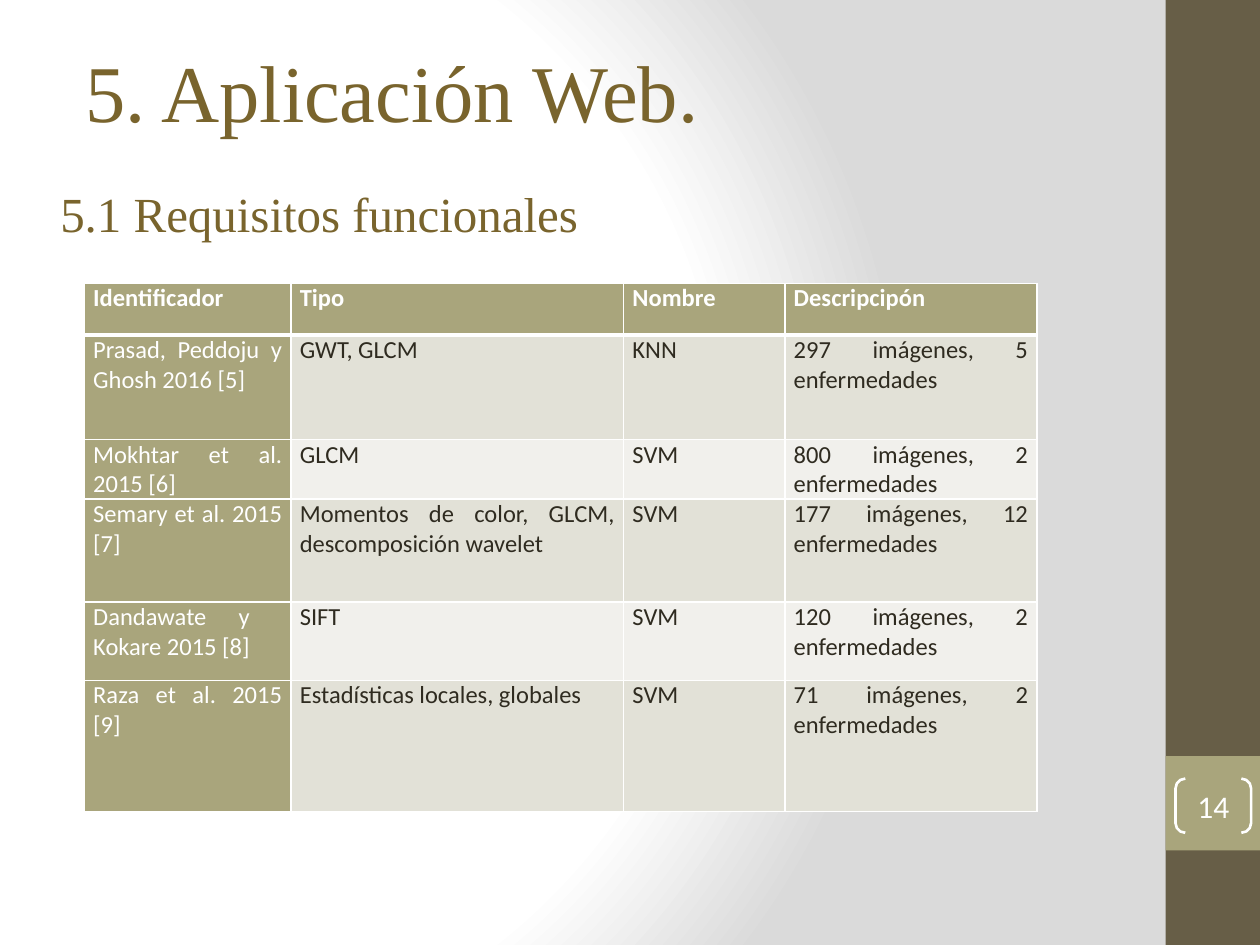
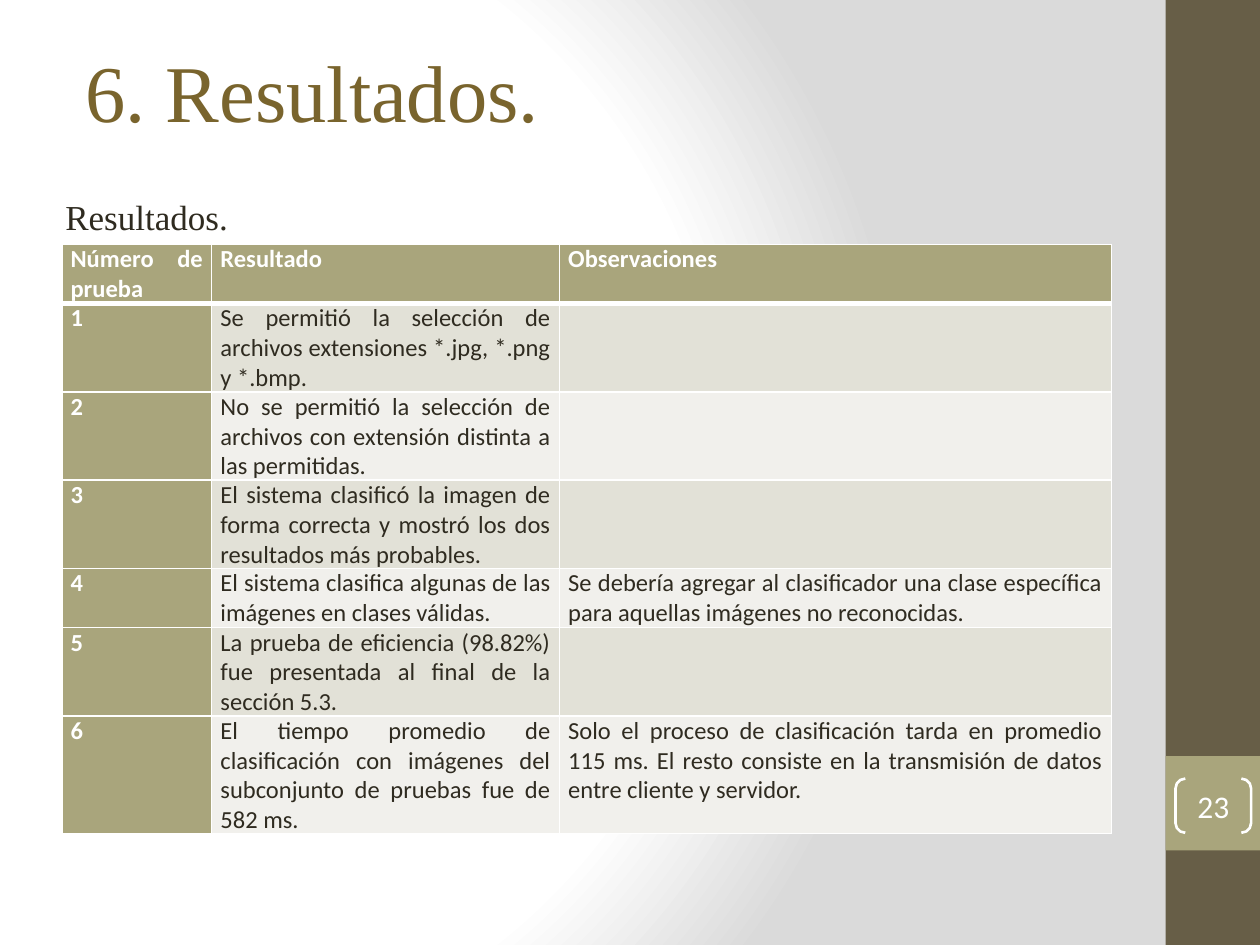
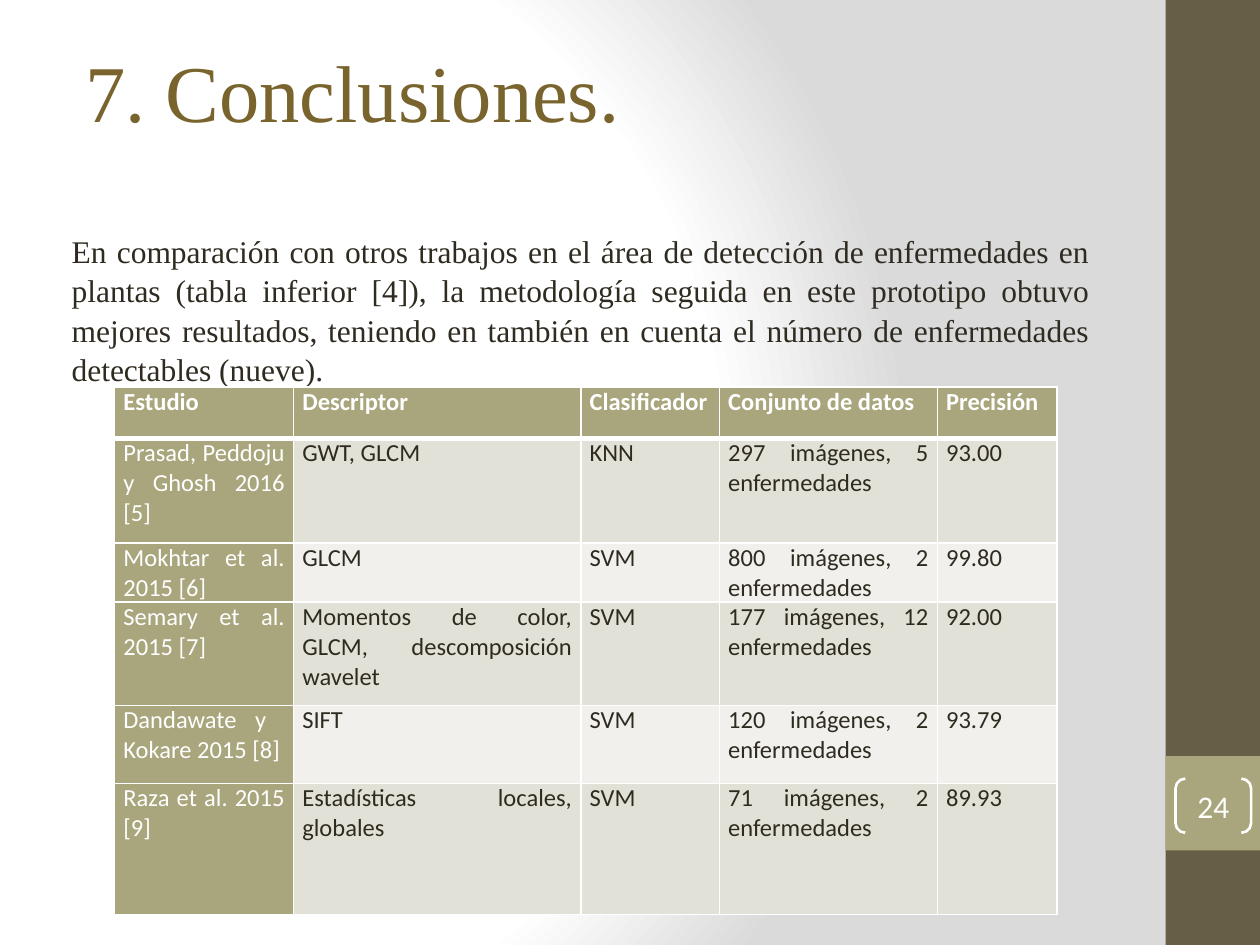
import pptx
import pptx.util
import pptx.dml.color
import pptx.enum.shapes
import pptx.enum.text
import pptx.oxml
import pptx.oxml.ns
from dataclasses import dataclass
from lxml import etree

Inches = pptx.util.Inches
Pt = pptx.util.Pt
SHAPE = pptx.enum.shapes.MSO_SHAPE
ALIGN = pptx.enum.text.PP_ALIGN
ANCHOR = pptx.enum.text.MSO_ANCHOR
qn = pptx.oxml.ns.qn


@dataclass(frozen=True)
class Theme:
    white: str = "FFFFFF"
    shade: str = "DADADA"
    band: str = "675E47"
    accent: str = "A9A57C"
    title: str = "79642D"
    ink: str = "2F2B20"
    rows: tuple = ("E2E1D7", "F1F0EC")
    serif: str = "Times New Roman"
    sans: str = "Calibri"
    title_size: int = 46
    subtitle_size: int = 28
    lead_size: int = 20
    body_size: int = 18
    cell_size: int = 14
    cell_margin: float = 0.07
    title_indent: float = 0.06
    body_spacing: float = 1.04


T = Theme()

STUDIES = [
    ("Prasad, Peddoju y Ghosh 2016 [5]", "GWT, GLCM", "KNN", "297 imágenes, 5 enfermedades"),
    ("Mokhtar et al. 2015 [6]", "GLCM", "SVM", "800 imágenes, 2 enfermedades"),
    ("Semary et al. 2015 [7]", "Momentos de color, GLCM, descomposición wavelet", "SVM",
     "177 imágenes, 12 enfermedades"),
    ("Dandawate y  Kokare 2015 [8]", "SIFT", "SVM", "120 imágenes, 2 enfermedades"),
    ("Raza et al. 2015 [9]", "Estadísticas locales, globales", "SVM",
     "71 imágenes, 2 enfermedades"),
]
PRECISION = ["93.00", "99.80", "92.00", "93.79", "89.93"]
STUDY_HEIGHTS = [0.41, 0.83, 0.47, 0.82, 0.62, 1.04]

TESTS = [
    ("1", "Se permitió la selección de archivos extensiones *.jpg, *.png y *.bmp.", ""),
    ("2", "No se permitió la selección de archivos con extensión distinta a las permitidas.", ""),
    ("3", "El sistema clasificó la imagen de forma correcta y mostró los dos resultados más "
          "probables.", ""),
    ("4", "El sistema clasifica algunas de las imágenes en clases válidas.",
     "Se debería agregar al clasificador una clase específica para aquellas imágenes no "
     "reconocidas."),
    ("5", "La prueba de eficiencia (98.82%) fue presentada al final de la sección 5.3.", ""),
    ("6", "El tiempo promedio de clasificación con imágenes del subconjunto de pruebas fue de "
          "582 ms.",
     "Solo el proceso de clasificación tarda en promedio 115 ms. El resto consiste en la "
     "transmisión de datos entre cliente y servidor."),
]

SLIDES = [
    {
        "number": "14",
        "title": "5. Aplicación Web.",
        "subtitle": ("5.1 Requisitos funcionales", (0.32, 1.3, 7.65, 0.67)),
        "table": {
            "at": (0.67, 2.25),
            "cols": [1.64, 2.64, 1.28, 2],
            "heights": STUDY_HEIGHTS,
            "header": ("Identificador", "Tipo", "Nombre", "Descripcipón"),
            "rows": STUDIES,
        },
    },
    {
        "number": "23",
        "title": "6. Resultados.",
        "body": ("Resultados.", (0.42, 1.49, 8.28, 0.44), T.lead_size),
        "table": {
            "at": (0.49, 1.94),
            "cols": [1.19, 2.76, 4.38],
            "heights": [0.47, 0.7, 0.7, 0.7, 0.47, 0.7, 0.93],
            "header": ("Número de prueba", "Resultado", "Observaciones"),
            "rows": TESTS,
            "bold_first": True,
        },
    },
    {
        "number": "24",
        "title": "7. Conclusiones.",
        "body": (
            "En comparación con otros trabajos en el área de detección de enfermedades en plantas "
            "(tabla inferior [4]), la metodología seguida en este prototipo obtuvo mejores "
            "resultados, teniendo en también en cuenta el número de enfermedades detectables "
            "(nueve).",
            (0.47, 1.78, 8.28, 1.31), T.body_size),
        "table": {
            "at": (0.91, 3.07),
            "cols": [1.42, 2.28, 1.1, 1.73, 0.95],
            "heights": STUDY_HEIGHTS,
            "header": ("Estudio", "Descriptor", "Clasificador", "Conjunto de datos", "Precisión"),
            "rows": [study + (value,) for study, value in zip(STUDIES, PRECISION)],
        },
    },
]


def rgb(color):
    return pptx.dml.color.RGBColor.from_string(color)


def set_background(master):
    fill = master.background.fill
    fill.gradient()
    stops = "".join(
        f'<a:gs pos="{pos * 1000}"><a:srgbClr val="{color}"/></a:gs>'
        for pos, color in ((0, T.white), (75, T.white), (100, T.shade)))
    gradient = pptx.oxml.parse_xml(
        f'<a:gradFill {pptx.oxml.ns.nsdecls("a")} rotWithShape="1"><a:gsLst>{stops}</a:gsLst>'
        '<a:path path="circle"><a:fillToRect l="20000" t="50000" r="100000" b="50000"/>'
        '</a:path></a:gradFill>')
    old = next(master._element.iter(qn("a:gradFill")))
    old.getparent().replace(old, gradient)


def write(tf, text, size, font, color, bold=False, align=ALIGN.JUSTIFY):
    tf.text = text
    p = tf.paragraphs[0]
    p.alignment = align
    for r in p.runs:
        r.font.size = Pt(size)
        r.font.name = font
        r.font.bold = bold
        r.font.color.rgb = rgb(color)
    return p


def add_shape(s, kind, box, fill=None):
    sp = s.shapes.add_shape(kind, *map(Inches, box))
    sp.shadow.inherit = False
    if fill:
        sp.fill.solid()
        sp.fill.fore_color.rgb = rgb(fill)
        sp.line.fill.background()
    else:
        sp.fill.background()
    return sp


def add_text_box(s, box):
    tf = s.shapes.add_textbox(*map(Inches, box)).text_frame
    tf.word_wrap = True
    return tf


def add_heading(s, text, box, size):
    tf = add_text_box(s, box)
    tf.vertical_anchor = ANCHOR.BOTTOM
    p = write(tf, text, size, T.serif, T.title)
    p._p.get_or_add_pPr().set("marL", str(Inches(T.title_indent)))


def add_body(s, text, box, size):
    tf = add_text_box(s, box)
    tf.auto_size = pptx.enum.text.MSO_AUTO_SIZE.SHAPE_TO_FIT_TEXT
    write(tf, text, size, T.serif, T.ink).line_spacing = T.body_spacing


def add_side_band(s, number):
    add_shape(s, SHAPE.RECTANGLE, (9.25, 0, 0.75, 7.5), T.band)
    add_shape(s, SHAPE.RECTANGLE, (9.25, 6, 0.75, 0.75), T.accent)
    sp = add_shape(s, SHAPE.DOUBLE_BRACKET, (9.33, 6.18, 0.6, 0.43))
    sp.adjustments[0] = 0.18
    sp.line.color.rgb = rgb(T.white)
    sp.line.width = Pt(1.5)
    tf = sp.text_frame
    tf.margin_left = tf.margin_right = tf.margin_top = tf.margin_bottom = 0
    tf.vertical_anchor = ANCHOR.MIDDLE
    write(tf, number, T.body_size, T.sans, T.white, align=ALIGN.CENTER)


def set_borders(cell, top, bottom):
    tcPr = cell._tc.get_or_add_tcPr()
    for i, (side, width) in enumerate((("L", 1), ("R", 1), ("T", top), ("B", bottom))):
        ln = etree.Element(qn(f"a:ln{side}"), w=str(Pt(width)))
        fill = etree.SubElement(ln, qn("a:solidFill"))
        etree.SubElement(fill, qn("a:srgbClr"), val=T.white)
        tcPr.insert(i, ln)


def add_table(s, at, cols, heights, header, rows, bold_first=False):
    box = (*at, sum(cols), sum(heights))
    table = s.shapes.add_table(len(heights), len(cols), *map(Inches, box)).table
    for column, width in zip(table.columns, cols):
        column.width = Inches(width)
    for row, height in zip(table.rows, heights):
        row.height = Inches(height)
    for i, values in enumerate([header, *rows]):
        for j, value in enumerate(values):
            cell = table.cell(i, j)
            is_label = i == 0 or j == 0
            cell.margin_left = cell.margin_right = Inches(T.cell_margin)
            cell.margin_top = cell.margin_bottom = 0
            cell.fill.solid()
            cell.fill.fore_color.rgb = rgb(T.accent if is_label else T.rows[(i - 1) % 2])
            p = write(cell.text_frame, value, T.cell_size, T.sans,
                      T.white if is_label else T.ink, i == 0 or (bold_first and j == 0))
            if not value:
                p.font.size = Pt(T.cell_size)
            set_borders(cell, 3 if i == 1 else 1, 3 if i == 0 else 1)


def main():
    prs = pptx.Presentation()
    prs.slide_width, prs.slide_height = Inches(10), Inches(7.5)
    set_background(prs.slide_master)
    for content in SLIDES:
        s = prs.slides.add_slide(prs.slide_layouts[6])
        add_side_band(s, content["number"])
        add_heading(s, content["title"], (0.52, -0.1, 8.27, 1.25), T.title_size)
        if "subtitle" in content:
            add_heading(s, *content["subtitle"], T.subtitle_size)
        if "body" in content:
            add_body(s, *content["body"])
        add_table(s, **content["table"])
    prs.save("out.pptx")


if __name__ == "__main__":
    main()
